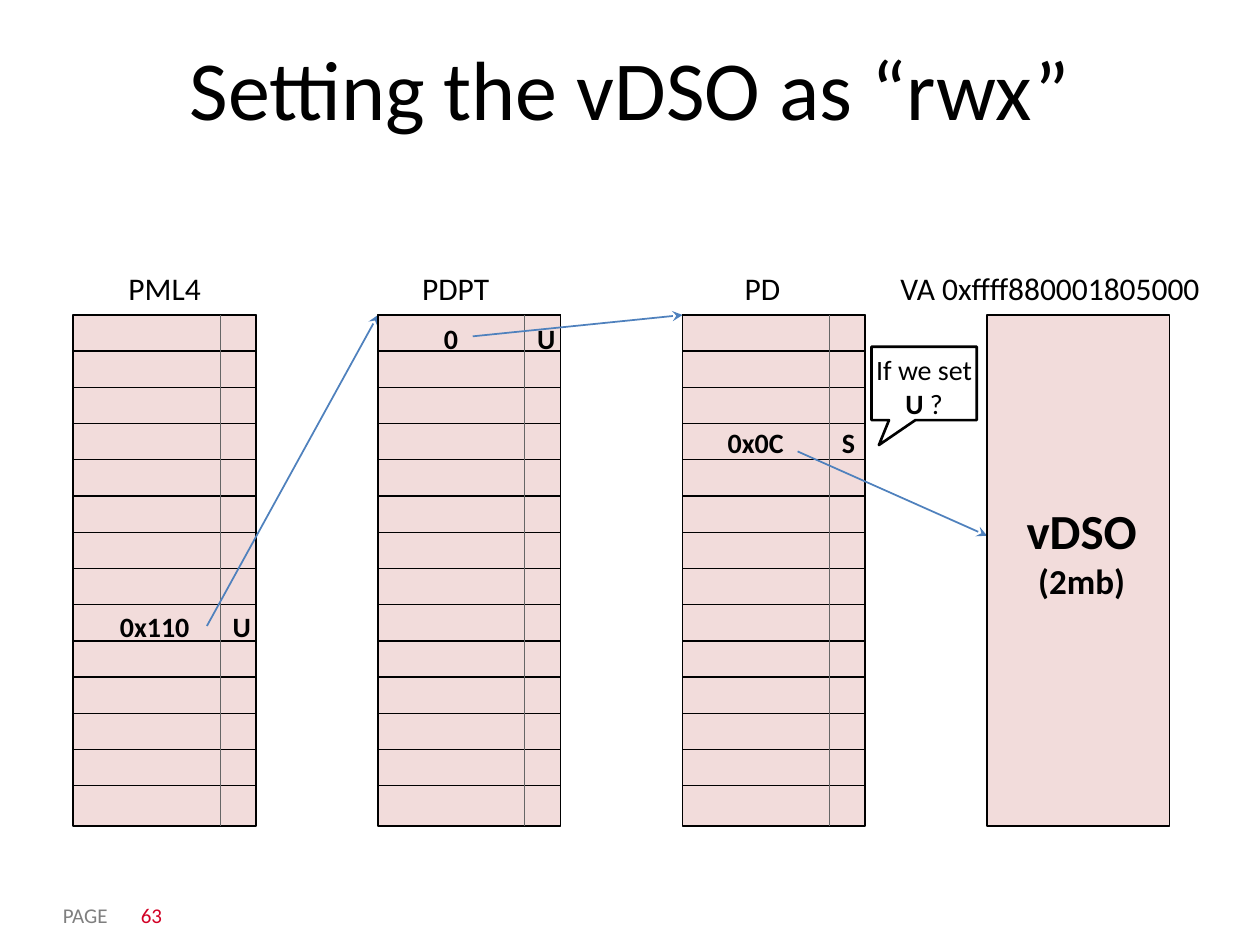
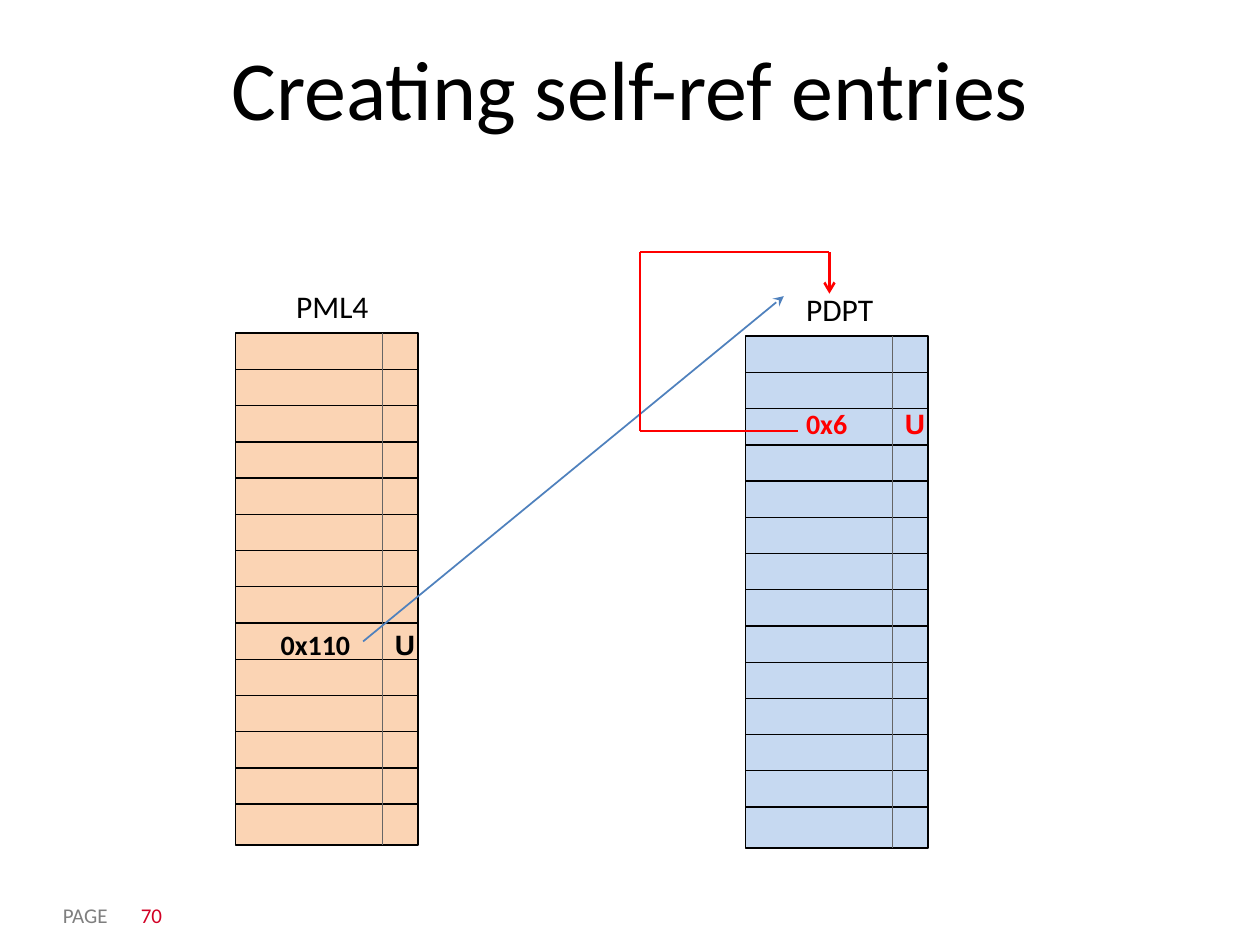
from collections import namedtuple
from itertools import pairwise
from lxml.etree import SubElement
from pptx import Presentation
from pptx.dml.color import RGBColor
from pptx.enum.shapes import MSO_CONNECTOR, MSO_SHAPE
from pptx.enum.text import MSO_ANCHOR, MSO_AUTO_SIZE, PP_ALIGN
from pptx.oxml.ns import qn
from pptx.util import Cm, Pt

COLORS = {
    "black": "000000",
    "gray": "7F7F7F",
    "divider": "666666",
    "crimson": "D20025",
    "red": "FF0000",
    "blue": "4F81BD",
    "pink": "F2DCDB",
    "peach": "FBD4B4",
    "sky": "C6D9F1",
}
TABLE_WIDTH, TABLE_HEIGHT = 3.68, 10.31
ROW_COUNT, ROW_HEIGHT = 13, 0.73
FLAG_OFFSET = 2.96
FIRST_LEFT, TABLE_TOP, TABLE_PITCH = 1.48, 6.35, 6.14

PageTable = namedtuple(
    "PageTable",
    "left top fill label label_offset key key_offset entry_offset flag flag_font ink arrow_start arrow_end",
)
lefts = [round(FIRST_LEFT + TABLE_PITCH * index, 2) for index in range(4)]
vdso_left = lefts[3]

slides = [
    ("Setting the vDSO as “rwx”", "63", [
        PageTable(lefts[0], TABLE_TOP, "pink", "PML4", 0.86, "0x110", 0.69, 5.82,
                  "U", "Calibri", "black", (4.17, 12.62), (lefts[1], TABLE_TOP)),
        PageTable(lefts[1], TABLE_TOP, "pink", "PDPT", 0.64, "0", 1.08, 0,
                  "U", "Calibri", "black", (9.53, 6.78), (lefts[2], TABLE_TOP)),
        PageTable(lefts[2], TABLE_TOP, "pink", "PD", 1, "0x0C", 0.66, 2.11,
                  "S", "Calibri", "black", (16.08, 9.1), (vdso_left, 10.8)),
    ]),
    ("Creating self-ref entries", "70", [
        PageTable(4.75, 6.72, "peach", "PML4", 0.97, "0x110", 0.66, 5.8,
                  "U", "Arial", "black", (7.32, 12.93), (15.8, 5.97)),
        PageTable(15.03, 6.78, "sky", "PDPT", 0.97, "0x6", 0.97, 1.3,
                  "U", "Arial", "red", None, None),
    ]),
]


def add_text(shape, text, size=16, bold=False, color="black", font="Calibri",
             align=PP_ALIGN.LEFT, anchor=MSO_ANCHOR.TOP, new_para=False):
    frame = shape.text_frame
    frame.word_wrap = True
    frame.auto_size = MSO_AUTO_SIZE.NONE
    frame.vertical_anchor = anchor
    para = frame.add_paragraph() if new_para else frame.paragraphs[-1]
    para.alignment = align
    span = para.add_run()
    span.text = text
    span.font.size = Pt(size)
    span.font.bold = bold
    span.font.name = font
    span.font.color.rgb = RGBColor.from_string(COLORS[color])


def add_line(page, start, end, color, width, head=None):
    line = page.shapes.add_connector(MSO_CONNECTOR.STRAIGHT, *map(Cm, (*start, *end)))
    line.line.color.rgb = RGBColor.from_string(COLORS[color])
    line.line.width = Pt(width)
    properties = line._element.spPr
    if head:
        SubElement(properties.find(qn("a:ln")), qn("a:tailEnd"), type=head)
    SubElement(properties, qn("a:effectLst"))


deck = Presentation()
deck.slide_width, deck.slide_height = Cm(25.4), Cm(19.05)
title_only = deck.slide_layouts[5]
pages = []

for title, number, tables in slides:
    page = deck.slides.add_slide(title_only)
    pages.append(page)
    heading = page.shapes.title
    heading.left, heading.top, heading.width, heading.height = map(Cm, (1.27, 1.14, 22.86, 1.75))
    add_text(heading, title, size=48, align=PP_ALIGN.CENTER, anchor=MSO_ANCHOR.BOTTOM)
    footer = page.shapes.add_textbox(*map(Cm, (1.02, 18.24, 2.29, 0.43)))
    add_text(footer, "PAGE", size=12, color="gray", anchor=MSO_ANCHOR.MIDDLE)
    page_number = page.shapes.add_textbox(*map(Cm, (2.59, 18.08, 5.92, 0.74)))
    add_text(page_number, number, size=12, color="crimson", anchor=MSO_ANCHOR.BOTTOM)

    for table in tables:
        outlines = [(table.top, TABLE_HEIGHT, 1)]
        outlines += [(table.top + ROW_HEIGHT * row, ROW_HEIGHT, 0.75) for row in range(ROW_COUNT)]
        for index, (top, height, weight) in enumerate(outlines):
            cell = page.shapes.add_shape(
                MSO_SHAPE.RECTANGLE, *map(Cm, (table.left, top, TABLE_WIDTH, height)))
            cell.shadow.inherit = False
            cell.line.color.rgb = RGBColor.from_string(COLORS["black"])
            cell.line.width = Pt(weight)
            if index:
                cell.fill.background()
            else:
                cell.fill.solid()
                cell.fill.fore_color.rgb = RGBColor.from_string(COLORS[table.fill])

        divider = table.left + FLAG_OFFSET
        add_line(page, (divider, table.top), (divider, table.top + TABLE_HEIGHT), "divider", 0.75)
        label = page.shapes.add_textbox(
            *map(Cm, (table.left + table.label_offset, table.top - 1.05, 2, 1.02)))
        add_text(label, table.label, size=18)
        entry_top = table.top + table.entry_offset
        key = page.shapes.add_textbox(*map(Cm, (table.left + table.key_offset, entry_top, 2, 0.94)))
        add_text(key, table.key, bold=True, color=table.ink)
        flag = page.shapes.add_textbox(*map(Cm, (divider, entry_top, 0.95, 0.94)))
        add_text(flag, table.flag, bold=True, color=table.ink, font=table.flag_font)
        if table.arrow_start:
            add_line(page, table.arrow_start, table.arrow_end, "blue", 1, "stealth")

vdso_page, self_ref_page = pages

callout = vdso_page.shapes.add_shape(
    MSO_SHAPE.RECTANGULAR_CALLOUT, *map(Cm, (17.57, 6.99, 2.12, 1.48)))
callout.adjustments[0], callout.adjustments[1] = -0.43, 0.84
callout.shadow.inherit = False
callout.fill.background()
callout.line.color.rgb = RGBColor.from_string(COLORS["black"])
callout.line.width = Pt(1.5)
callout.text_frame.margin_left = callout.text_frame.margin_right = 0
add_text(callout, "If we set", align=PP_ALIGN.CENTER)
add_text(callout, "U", bold=True, align=PP_ALIGN.CENTER, new_para=True)
add_text(callout, " ?", align=PP_ALIGN.CENTER)

vdso = vdso_page.shapes.add_shape(
    MSO_SHAPE.RECTANGLE, *map(Cm, (vdso_left, TABLE_TOP, TABLE_WIDTH, TABLE_HEIGHT)))
vdso.shadow.inherit = False
vdso.fill.solid()
vdso.fill.fore_color.rgb = RGBColor.from_string(COLORS["pink"])
vdso.line.color.rgb = RGBColor.from_string(COLORS["black"])
vdso.line.width = Pt(1)
address = vdso_page.shapes.add_textbox(*map(Cm, (17.78, 5.3, 6.78, 1.02)))
add_text(address, "VA 0xffff880001805000", size=18, align=PP_ALIGN.CENTER)
vdso_name = vdso_page.shapes.add_textbox(*map(Cm, (20.32, 9.96, 2.97, 2.2)))
add_text(vdso_name, "vDSO", size=28, bold=True, align=PP_ALIGN.CENTER)
add_text(vdso_name, "(2mb)", size=20, bold=True, align=PP_ALIGN.CENTER, new_para=True)

loop_points = [(16.08, 8.69), (12.9, 8.69), (12.9, 5.08), (16.72, 5.08), (16.72, 5.92)]
for start, end in pairwise(loop_points):
    add_line(self_ref_page, start, end, "red", 1.5, "arrow" if end == loop_points[-1] else None)

deck.save("out.pptx")
